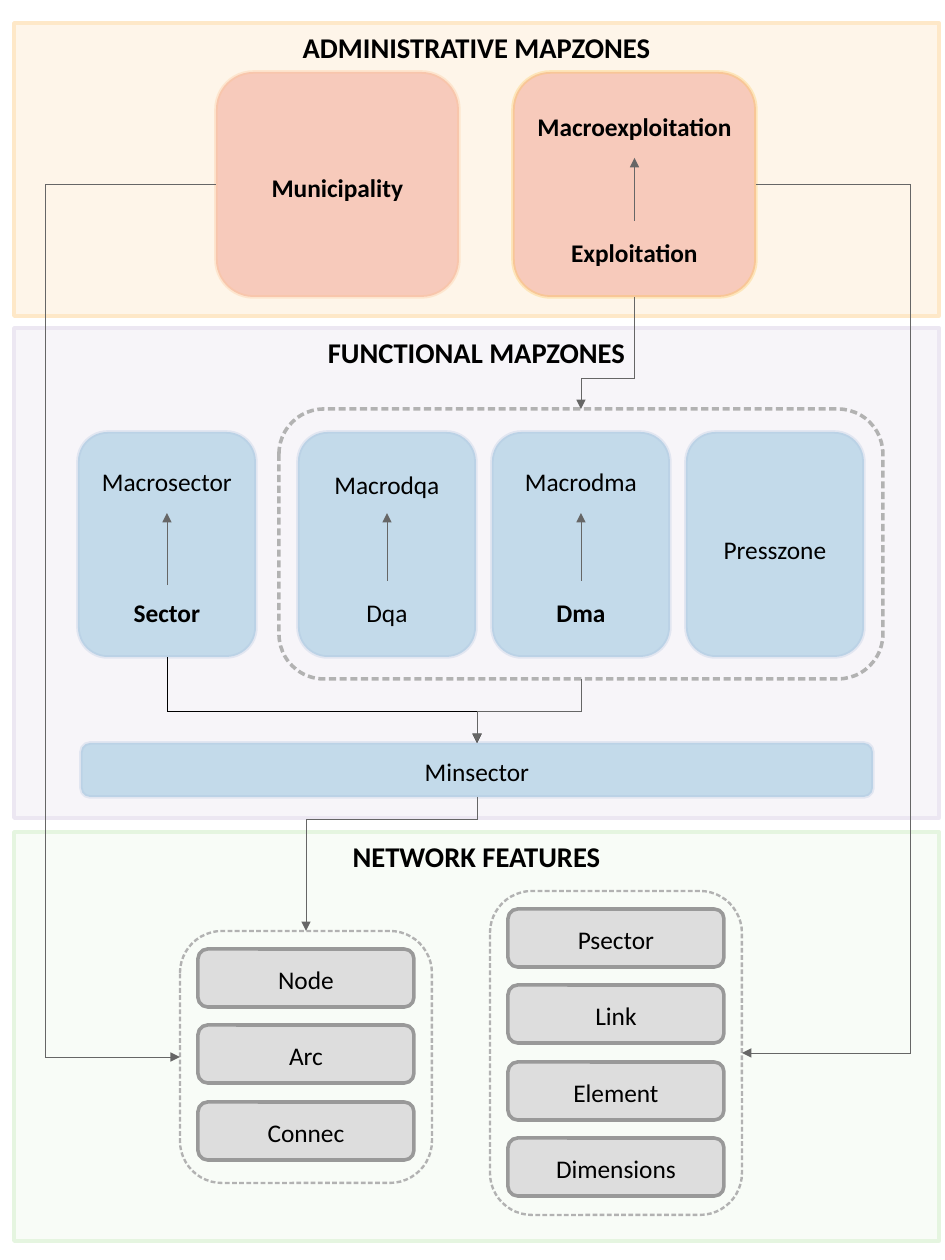
from lxml.etree import SubElement
from pptx import Presentation
from pptx.dml.color import RGBColor
from pptx.enum.shapes import MSO_CONNECTOR as Link, MSO_SHAPE as Shape
from pptx.enum.text import MSO_ANCHOR as Anchor, PP_ALIGN as Align
from pptx.oxml.ns import qn
from pptx.util import Pt

SCALE = 8000
GREY, DASHED = "666666", "B2B2B2"
TOP, LEFT, BOTTOM, RIGHT = range(4)


def px(n):
    """Turn px into EMU."""
    return int(round(n * SCALE))


def paint(color, hue, alpha=100):
    """Set a solid fill to a hex colour with an opacity in percent."""
    color.solid()
    color.fore_color.rgb = RGBColor.from_string(hue)
    if alpha < 100:
        node = color._xPr.find(qn("a:solidFill"))[0]
        SubElement(node, qn("a:alpha")).set("val", str(alpha * 1000))


def write(shape, text, size=16, bold=False, anchor=Anchor.MIDDLE, wrap=True, inset=6, drop=0):
    """Put one centred line in a shape, lowered by drop px."""
    frame = shape.text_frame
    frame.word_wrap = wrap
    frame.vertical_anchor = anchor
    frame.margin_left = frame.margin_right = px(11)
    frame.margin_top, frame.margin_bottom = px(inset + 2 * drop), px(inset)
    para = frame.paragraphs[0]
    para.alignment = Align.CENTER
    run = para.add_run()
    run.text = text
    run.font.name, run.font.size, run.font.bold = "Calibri", Pt(size), bold
    run.font.color.rgb = RGBColor.from_string("000000")


def block(slide, box, line, fill=None, alpha=100, edge=100, width=2.25, kind=Shape.ROUNDED_RECTANGLE):
    """Draw a rectangle, rounded unless told otherwise and dashed if unfilled."""
    shape = slide.shapes.add_shape(kind, *map(px, box))
    shape.shadow.inherit = False
    paint(shape.line.fill, line, edge)
    shape.line.width = Pt(width)
    if fill:
        paint(shape.fill, fill, alpha)
    else:
        shape.fill.background()
        dash = SubElement(SubElement(shape.line._get_or_add_ln(), qn("a:custDash")), qn("a:ds"))
        dash.set("d", "200000")
        dash.set("sp", "100000")
    return shape


def label(slide, box, text, bold=False):
    """Add a text box with one centred line."""
    write(slide.shapes.add_textbox(*map(px, box)), text, bold=bold)


def arrow(slide, start, end, kind=Link.STRAIGHT, hue=GREY):
    """Draw a hairline connector with an arrowhead at its end."""
    line = slide.shapes.add_connector(kind, *map(px, (*start, *end)))
    paint(line.line.fill, hue)
    stroke = line.line._get_or_add_ln()
    stroke.set("w", "0")
    SubElement(stroke, qn("a:tailEnd")).set("type", "triangle")
    SubElement(line._element.spPr, qn("a:effectLst"))
    return line


def bend(line, ratio):
    """Set where an elbow turns, as a share of its length."""
    shape = line._element.spPr.find(qn("a:prstGeom"))
    values = shape.find(qn("a:avLst"))
    if values is None:
        values = SubElement(shape, qn("a:avLst"))
    guide = SubElement(values, qn("a:gd"))
    guide.set("name", "adj1")
    guide.set("fmla", f"val {round(ratio * 100000)}")


def across(slide, start, end, turn):
    """Draw an elbow that leaves sideways and turns at x = turn."""
    line = arrow(slide, start, end, Link.ELBOW)
    bend(line, (turn - start[0]) / (end[0] - start[0]))


def down(slide, start, end, turn, hue=GREY):
    """Draw an elbow that leaves downwards and turns at y = turn."""
    (x1, y1), (x2, y2) = start, end
    mid_x, mid_y = (x1 + x2) / 2, (y1 + y2) / 2
    sign = 1 if x2 < x1 else -1
    long, wide = sign * (y2 - y1) / 2, abs(x2 - x1) / 2
    line = arrow(slide, (mid_x - long, mid_y - wide), (mid_x + long, mid_y + wide), Link.ELBOW, hue)
    line._element.spPr.find(qn("a:xfrm")).set("rot", str((90 if sign > 0 else 270) * 60000))
    bend(line, (turn - y1) / (y2 - y1))


def side(shape, spot):
    """Give the middle of one side of a shape in px."""
    x, y, w, h = (n / SCALE for n in (shape.left, shape.top, shape.width, shape.height))
    return [(x + w / 2, y), (x, y + h / 2), (x + w / 2, y + h), (x + w, y + h / 2)][spot]


def panel(slide, box, title, hue, alpha):
    """Draw a zone with its heading."""
    shape = block(slide, box, hue, hue, alpha, kind=Shape.RECTANGLE)
    write(shape, title, size=18, bold=True, anchor=Anchor.TOP, wrap=False, inset=7)


def pair(slide, box, upper, lower, bold=(False, False), rise=18, head=81, foot=149):
    """Place two labels in a card with an arrow up between them."""
    x, y, w, h = box
    label(slide, (x + 8, y + rise, w - 16, head - rise), upper, bold[0])
    label(slide, (x + 8, y + foot, w - 16, 2 * (180 - foot)), lower, bold[1])
    arrow(slide, (x + w / 2, y + foot), (x + w / 2, y + head))


def admin(slide, box):
    """Draw the administrative zone and return its cards."""
    x, y, w, h = box
    panel(slide, box, "ADMINISTRATIVE MAPZONES", "FEE8C8", 40)
    spots = [(x + dx, y + 49, 243, 225) for dx in (202, 499)]
    town, site = [block(slide, spot, line, "E34A33", 25, 25)
                  for spot, line in zip(spots, ("FDBB84", "FDBB33"))]
    write(town, "Municipality", bold=True, drop=3)
    pair(slide, spots[1], "Macroexploitation", "Exploitation", (True, True), rise=23, head=86)
    return town, site


def water(slide, box):
    """Draw the functional zone and return its outer parts."""
    x, y, w, h = box
    blue = dict(line="A6BDDB", fill="2B8CBE", alpha=25, edge=25)
    panel(slide, box, "FUNCTIONAL MAPZONES", "ECE7F2", 40)
    spots = [(x + dx, y + 104, 178, 225) for dx in (64, 284, 478, 672)]
    sector, _, _, press = [block(slide, spot, **blue) for spot in spots]
    pair(slide, spots[0], "Macrosector", "Sector", (False, True), foot=153)
    pair(slide, spots[1], "Macrodqa", "Dqa", rise=24)
    pair(slide, spots[2], "Macrodma", "Dma", (False, True))
    write(press, "Presszone", drop=5)
    frame = block(slide, (x + 265, y + 81, 604, 270), DASHED)
    small = block(slide, (x + 67, y + 415, 792, 54), **blue)
    write(small, "Minsector", drop=1)
    return sector, frame, small


def stack(slide, box, names):
    """Draw a dashed frame with a column of named boxes and return the frame."""
    x, y, w, h = box
    for row, name in enumerate(names):
        item = block(slide, (x + 18, y + 18 + 153 * row // 2, w - 36, 58), "999999", "DDDDDD")
        write(item, name, drop=1)
    return block(slide, box, DASHED, width=1.5)


def network(slide, box):
    """Draw the network zone and return its two frames."""
    x, y, w, h = box
    panel(slide, box, "NETWORK FEATURES", "E5F5E0", 25)
    return (stack(slide, (x + 166, y + 99, 252, 252), ("Node", "Arc", "Connec")),
            stack(slide, (x + 476, y + 59, 252, 324), ("Psector", "Link", "Element", "Dimensions")))


def main():
    """Build the slide and save it."""
    deck = Presentation()
    deck.slide_width, deck.slide_height = px(945), px(1260)
    slide = deck.slides.add_slide(deck.slide_layouts[6])
    town, site = admin(slide, (14, 23, 925, 293))
    sector, frame, small = water(slide, (14, 328, 925, 490))
    nodes, extras = network(slide, (14, 832, 925, 409))
    down(slide, side(site, BOTTOM), side(frame, TOP), 378)
    down(slide, side(small, BOTTOM), side(nodes, TOP), 819)
    down(slide, side(sector, BOTTOM), side(small, TOP), 711, "000000")
    down(slide, side(frame, BOTTOM), side(small, TOP), 711)
    across(slide, side(town, LEFT), side(nodes, LEFT), 45)
    across(slide, side(site, RIGHT), side(extras, RIGHT), 910)
    deck.save("out.pptx")


if __name__ == "__main__":
    main()
